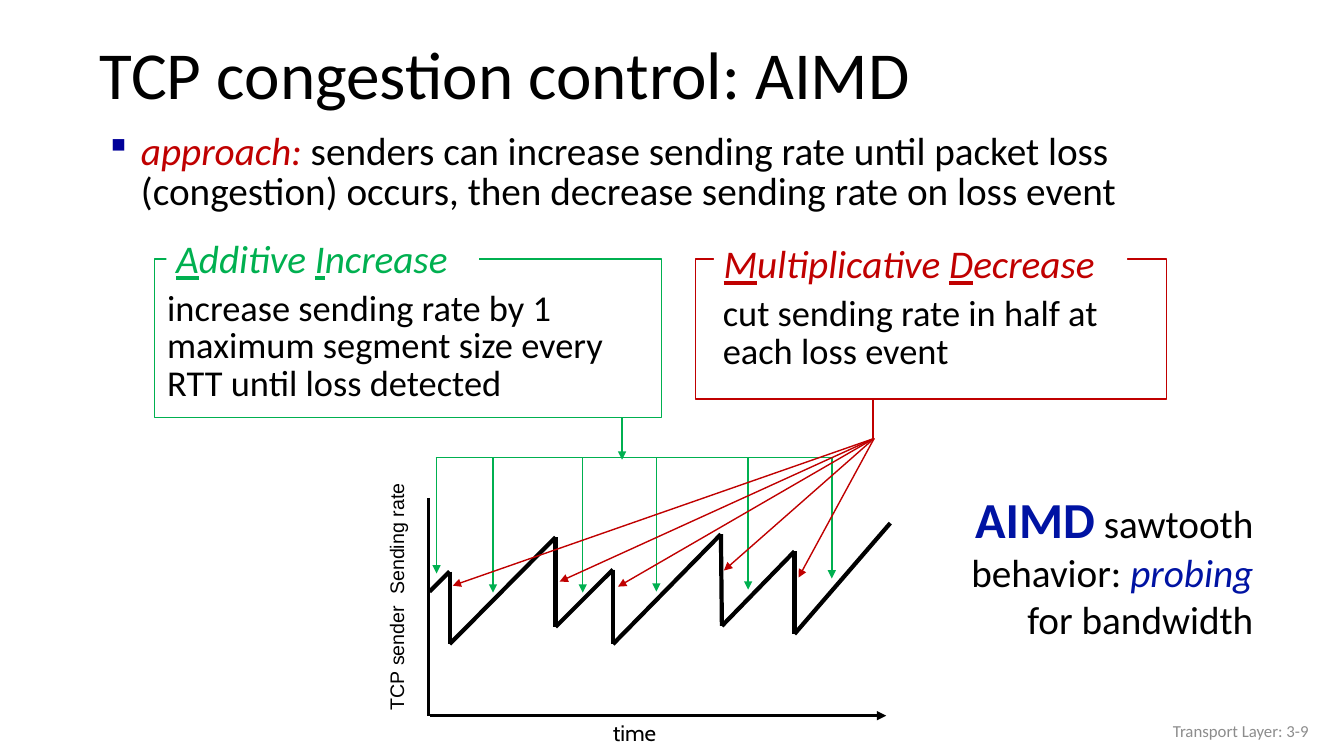
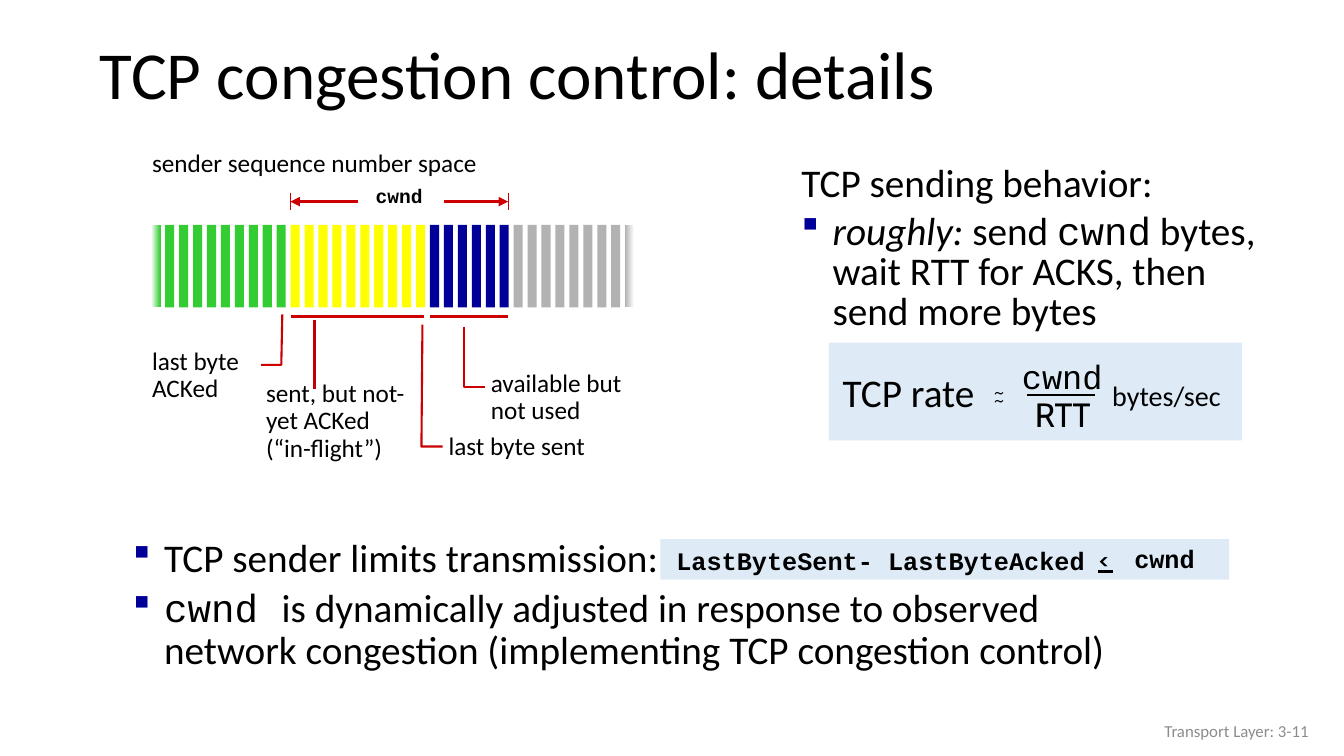
import itertools

import pptx
import pptx.dml.color
import pptx.enum.shapes
import pptx.enum.text
import pptx.oxml
import pptx.oxml.ns
import pptx.util
from pptx.util import Inches

BLACK = pptx.dml.color.RGBColor(0x00, 0x00, 0x00)
WHITE = pptx.dml.color.RGBColor(0xFF, 0xFF, 0xFF)
GREY = pptx.dml.color.RGBColor(0x8C, 0x8C, 0x8C)
NAVY = pptx.dml.color.RGBColor(0x00, 0x00, 0x99)
BLUE = pptx.dml.color.RGBColor(0x00, 0x13, 0xA3)
PALE_BLUE = pptx.dml.color.RGBColor(0xDE, 0xEB, 0xF7)
GREEN = pptx.dml.color.RGBColor(0x00, 0xB0, 0x50)
DARK_RED = pptx.dml.color.RGBColor(0xC0, 0x00, 0x00)
RED = pptx.dml.color.RGBColor(0xCC, 0x00, 0x00)
BYTE_GREEN = pptx.dml.color.RGBColor(0x33, 0xCC, 0x33)
BYTE_YELLOW = pptx.dml.color.RGBColor(0xFF, 0xFF, 0x00)
BYTE_GREY = pptx.dml.color.RGBColor(0xB2, 0xB2, 0xB2)

LEFT = pptx.enum.text.PP_ALIGN.LEFT
CENTER = pptx.enum.text.PP_ALIGN.CENTER
RIGHT = pptx.enum.text.PP_ALIGN.RIGHT
TOP = pptx.enum.text.MSO_ANCHOR.TOP
MIDDLE = pptx.enum.text.MSO_ANCHOR.MIDDLE
RECTANGLE = pptx.enum.shapes.MSO_SHAPE.RECTANGLE
STRAIGHT = pptx.enum.shapes.MSO_CONNECTOR.STRAIGHT

TITLE = {"size": 48, "spacing": 0.9, "anchor": MIDDLE}
FOOTER = {"size": 12, "color": GREY, "align": RIGHT, "anchor": MIDDLE}
BODY = {"size": 28, "spacing": 0.85, "before": 5.6}
CAPTION = {"size": 18, "spacing": 0.9}
CODE = {"name": "Courier New"}
BOLD_CODE = {"name": "Courier New", "bold": True}
CENTERED = {"align": CENTER, "wrap": False}


def write(page, at, paragraphs=(), fill=None, edge=None, bullets=(), size=18, color=BLACK,
          align=LEFT, anchor=TOP, spacing=1.0, before=0, wrap=True, **font_format):
    """Add a box of paragraphs, each a list of (text, format) spans; bullets holds indices."""
    place = [Inches(value) for value in at]
    if fill is None:
        box = page.shapes.add_textbox(*place)
    else:
        box = page.shapes.add_shape(RECTANGLE, *place)
        box.shadow.inherit = False
        box.fill.solid()
        box.fill.fore_color.rgb = fill
        if edge is None:
            box.line.fill.background()
        else:
            box.line.color.rgb = edge
            box.line.width = pptx.util.Pt(1)
    frame = box.text_frame
    frame.word_wrap = wrap
    frame.vertical_anchor = anchor
    for index, spans in enumerate(paragraphs):
        para = frame.paragraphs[0] if index == 0 else frame.add_paragraph()
        para.alignment = align
        para.line_spacing = spacing
        para.space_before = pptx.util.Pt(before)
        if index in bullets:
            properties = para._p.get_or_add_pPr()
            properties.set("marL", str(Inches(0.31)))
            properties.set("indent", str(-Inches(0.31)))
            namespace = pptx.oxml.ns.nsdecls("a")
            # In Wingdings the section sign draws a small square.
            for xml in (f'<a:buClr {namespace}><a:srgbClr val="{NAVY}"/></a:buClr>',
                        f'<a:buFont {namespace} typeface="Wingdings" pitchFamily="2" charset="2"/>',
                        f'<a:buChar {namespace} char="§"/>'):
                properties.append(pptx.oxml.parse_xml(xml))
        for text, changes in spans:
            span = para.add_run()
            span.text = text
            values = {"name": "Calibri", "size": size, "color": color, **font_format, **changes}
            span.font.color.rgb = values.pop("color")
            values["size"] = pptx.util.Pt(values["size"])
            for key, value in values.items():
                setattr(span.font, key, value)
    return box


def connect(page, start, end, color, width, arrow=False):
    line = page.shapes.add_connector(STRAIGHT, *[Inches(value) for value in (*start, *end)])
    line.line.color.rgb = color
    line.line.width = pptx.util.Pt(width)
    namespace = pptx.oxml.ns.nsdecls("a")
    if arrow:
        line.line._get_or_add_ln().append(
            pptx.oxml.parse_xml(f'<a:tailEnd {namespace} type="triangle"/>'))
    line._element.spPr.append(pptx.oxml.parse_xml(f"<a:effectLst {namespace}/>"))


deck = pptx.Presentation()
deck.slide_width, deck.slide_height = Inches(13.33), Inches(7.5)
pages = []
for topic, number in (("AIMD", 9), ("details", 11)):
    page = deck.slides.add_slide(deck.slide_layouts[6])
    write(page, (0.89, 0.28, 12.4, 0.98), [[(f"TCP congestion control: {topic}", {})]], **TITLE)
    write(page, (10.08, 7.05, 3, 0.4), [[(f"Transport Layer: 3-{number}", {})]], **FOOTER)
    pages.append(page)
aimd, details = pages

# AIMD: approach and sawtooth
write(aimd, (0.99, 1.28, 11.24, 1.0), [[
    ("approach: ", {"color": DARK_RED, "italic": True}),
    ("senders can increase sending rate until packet loss (congestion) occurs, "
     "then decrease sending rate on loss event", {})]], bullets=[0], **BODY)
write(aimd, (9.5, 4.79, 3.03, 1.65), [
    [("AIMD", {"size": 36, "color": BLUE, "bold": True}), (" sawtooth", {})],
    [("behavior: ", {}), ("probing", {"color": BLUE, "italic": True})],
    [("for bandwidth", {})]], size=28, align=RIGHT, wrap=False)

sawtooth = [(4.26, 5.87), (4.46, 5.67), (4.46, 6.39), (5.51, 5.33), (5.51, 6.22), (6.08, 5.65),
            (6.08, 6.39), (7.15, 5.3), (7.16, 6.21), (7.88, 5.47), (7.88, 6.29), (8.83, 5.19)]
for start, end in itertools.pairwise(sawtooth):
    connect(aimd, start, end, BLACK, 3)
rate_label = write(aimd, (2.69, 5.73, 2.49, 0.34), [[("TCP sender  Sending rate", {})]],
                   fill=WHITE, size=14, name="Arial")
rate_label.rotation = 270
connect(aimd, (4.26, 7.1), (8.79, 7.1), BLACK, 2.25, arrow=True)
connect(aimd, (4.25, 4.94), (4.25, 7.1), BLACK, 2.25)
write(aimd, (5.98, 7.09, 0.63, 0.37), [[("time", {})]], size=16, name="Cabin", wrap=False)

# AIMD: the two rules
rules = [
    (GREEN, (1.53, 2.57, 5.03, 1.57), (1.56, 2.85, 5.03, 1.2), (1.65, 2.35, 3.1, 0.49),
     ("A", "dditive ", "I", "ncrease"),
     "increase sending rate by 1 maximum segment size every RTT until loss detected"),
    (DARK_RED, (6.9, 2.57, 4.67, 1.39), (7.07, 2.9, 4.69, 0.9), (7.08, 2.4, 4.1, 0.49),
     ("M", "ultiplicative ", "D", "ecrease"),
     "cut sending rate in half at each loss event"),
]
for color, frame_at, rule_at, name_at, name_parts, rule in rules:
    write(aimd, frame_at, fill=WHITE, edge=color)
    write(aimd, rule_at, [[(rule, {})]], **{**BODY, "size": 26})
    name_spans = [(part, {"underline": index % 2 == 0}) for index, part in enumerate(name_parts)]
    write(aimd, name_at, [name_spans], fill=WHITE, color=color, italic=True, **BODY)

# AIMD: arrows from the rules to the sawtooth
for x, bottom in ((4.33, 5.69), (4.89, 5.88), (5.78, 5.88), (6.51, 5.87), (7.42, 5.85), (8.25, 5.74)):
    connect(aimd, (x, 4.54), (x, bottom), GREEN, 1, arrow=True)
connect(aimd, (4.32, 4.54), (8.26, 4.54), GREEN, 1)
connect(aimd, (6.17, 4.14), (6.17, 4.56), GREEN, 1, arrow=True)
for drop in ((7.92, 5.73), (4.49, 5.81), (5.55, 5.77), (6.13, 5.82), (7.18, 5.66)):
    connect(aimd, (8.67, 4.35), drop, DARK_RED, 1, arrow=True)
connect(aimd, (8.66, 4.35), (8.66, 3.96), DARK_RED, 1)

# Details: limit on transmission
write(details, (6.55, 5.35, 5.64, 0.4), fill=PALE_BLUE)
write(details, (1.22, 5.29, 10.53, 1.5), [
    [("TCP sender limits transmission:", {})],
    [("cwnd ", CODE),
     ("is dynamically adjusted in response to observed network congestion "
      "(implementing TCP congestion control)", {})]],
    bullets=[0, 1], **{**BODY, "spacing": 0.9})
write(details, (6.61, 5.41, 4.81, 0.37), [[("LastByteSent- LastByteAcked", {})]],
      spacing=0.85, before=3.6, **BOLD_CODE)
write(details, (10.76, 5.37, 0.38, 0.37), [[("<", {})]], size=16, name="Cabin", bold=True, **CENTERED)
connect(details, (10.89, 5.67), (11.04, 5.67), BLACK, 1.5)
write(details, (11.15, 5.34, 0.8, 0.4), [[("cwnd", {})]], **BOLD_CODE, **CENTERED)

# Details: sequence number space
stripe_colors = [BYTE_GREEN] * 10 + [BYTE_YELLOW] * 10 + [NAVY] * 6 + [BYTE_GREY] * 9
stripe_step = (6.2 - 1.5) / (len(stripe_colors) - 1)
stripes = [write(details, (1.5 + index * stripe_step, 2.23, 0.09, 0.82), fill=color)
           for index, color in enumerate(stripe_colors)]
for stripe, fade in ((stripes[0], (WHITE, BYTE_GREEN)), (stripes[-1], (BYTE_GREY, WHITE))):
    stripe.fill.gradient()
    stripe.fill.gradient_angle = 0
    for stop, color in zip(stripe.fill.gradient_stops, fade):
        stop.color.rgb = color

write(details, (1.41, 1.41, 3.52, 0.4), [[("sender sequence number space", {})]], wrap=False)
write(details, (3.52, 1.8, 0.88, 0.38), [[("cwnd", {})]], size=14, spacing=0.9,
      **BOLD_CODE, **CENTERED)
for inner, outer in ((3.55, 2.88), (4.4, 5.04)):
    connect(details, (inner, 2), (outer, 2), RED, 2.25, arrow=True)
    connect(details, (outer, 1.91), (outer, 2.08), RED, 0.75)
for left, right in ((2.89, 4.21), (4.27, 5.04)):
    connect(details, (left, 3.14), (right, 3.14), RED, 2.25)
connect(details, (3.12, 3.17), (3.12, 3.86), DARK_RED, 1.5)

for bends in (((2.8, 3.12), (2.79, 3.62), (2.59, 3.62)),
              ((4.19, 3.22), (4.18, 4.43), (4.39, 4.43)),
              ((4.6, 3.24), (4.6, 3.84), (4.81, 3.84))):
    start, *corners = [(Inches(x), Inches(y)) for x, y in bends]
    builder = details.shapes.build_freeform(*start)
    builder.add_line_segments(corners, close=False)
    leader = builder.convert_to_shape()
    leader.shadow.inherit = False
    leader.fill.background()
    leader.line.color.rgb = RED
    leader.line.width = pptx.util.Pt(1.5)

for at, lines in (((1.41, 3.41, 1.08, 0.65), ("last byte", "ACKed")),
                  ((4.35, 4.25, 1.75, 0.37), ("last byte sent",)),
                  ((4.77, 3.63, 1.75, 0.65), ("available but not used",)),
                  ((2.54, 3.73, 1.82, 0.92), ("sent, but not-yet ACKed", "(“in-flight”)"))):
    write(details, at, [[(line, {})] for line in lines], **CAPTION)

# Details: sending behavior and rate
write(details, (7.85, 1.59, 5.02, 1.8), [
    [("TCP sending behavior:", {})],
    [("roughly:", {"italic": True}), (" send ", {}), ("cwnd", CODE),
     (" bytes, wait RTT for ACKS, then send more bytes", {})]], bullets=[1], **BODY)
write(details, (8.22, 3.4, 4.1, 0.97), fill=PALE_BLUE)
for at, text, size, font in (((8.25, 3.6, 1.52, 0.57), "TCP rate", 28, "Calibri"),
                             ((9.4, 3.66, 1.02, 0.4), "~", 18, "Cabin"),
                             ((9.4, 3.74, 1.02, 0.4), "~", 18, "Cabin"),
                             ((10.03, 3.48, 1.01, 0.51), "cwnd", 24, "Courier New"),
                             ((10.14, 3.86, 0.8, 0.51), "RTT", 24, "Cabin"),
                             ((10.92, 3.71, 1.3, 0.44), "bytes/sec", 20, "Calibri")):
    write(details, at, [[(text, {})]], size=size, name=font, **CENTERED)
connect(details, (10.19, 3.92), (10.86, 3.92), BLACK, 1.5)

deck.save("out.pptx")
